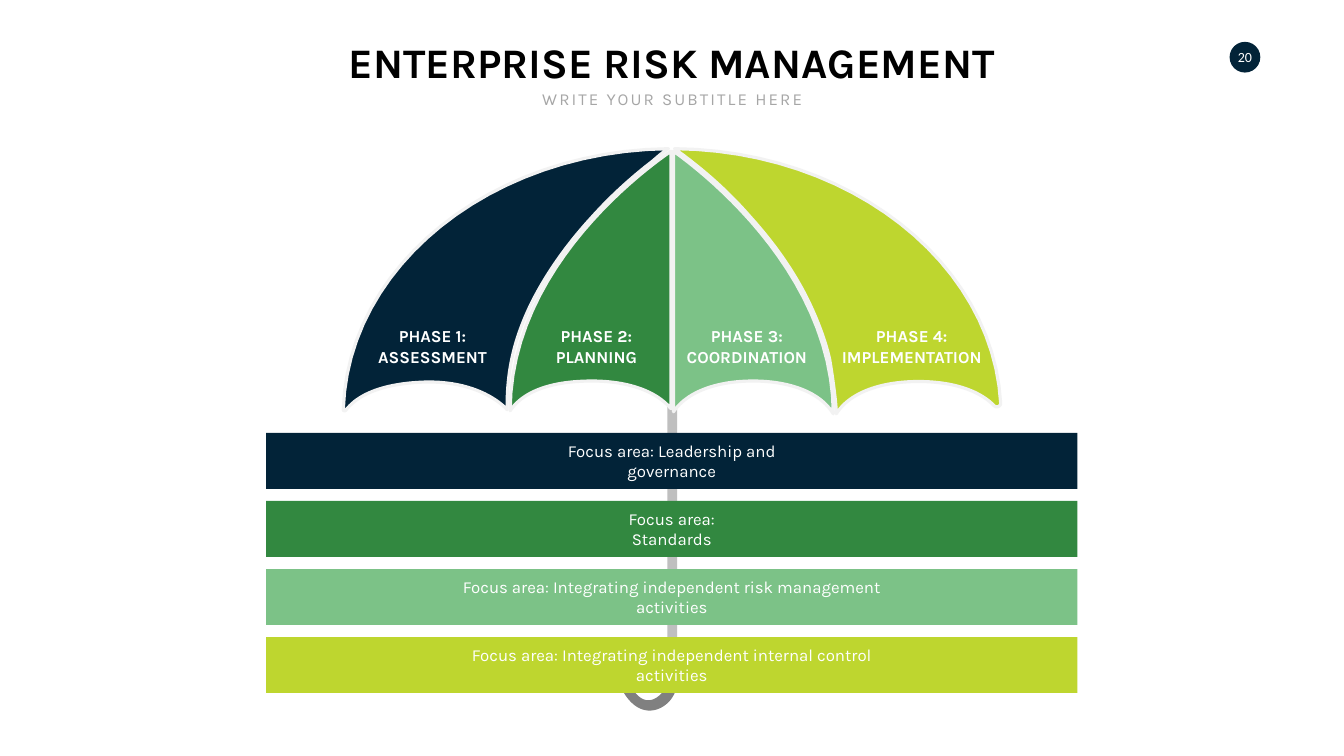
from lxml.etree import SubElement
from pptx import Presentation
from pptx.dml.color import RGBColor
from pptx.enum.shapes import MSO_SHAPE as SHAPE
from pptx.enum.text import MSO_ANCHOR as ANCHOR, MSO_AUTO_SIZE as AUTO_SIZE, PP_ALIGN as ALIGN
from pptx.oxml.ns import qn
from pptx.util import Inches, Pt

NAVY = RGBColor(0x02, 0x23, 0x38)
GREEN = RGBColor(0x32, 0x88, 0x40)
MINT = RGBColor(0x7C, 0xC2, 0x87)
LIME = RGBColor(0xBE, 0xD6, 0x2F)
POLE_GRAY = RGBColor(0xBF, 0xBF, 0xBF)
HOOK_GRAY = RGBColor(0x80, 0x80, 0x80)
SUBTITLE_GRAY = RGBColor(0xA6, 0xA6, 0xA6)
SEAM = RGBColor(0xF2, 0xF2, 0xF2)
BLACK = RGBColor(0, 0, 0)
WHITE = RGBColor(0xFF, 0xFF, 0xFF)

TITLE = "ENTERPRISE RISK MANAGEMENT"
SUBTITLE = "WRITE YOUR SUBTITLE HERE"
PAGE_NUMBER = "20"
PHASES = [
    ("PHASE 1:\nASSESSMENT", 7.38, 2.4),
    ("PHASE 2:\nPLANNING", 10.86, 1.94),
    ("PHASE 3:\nCOORDINATION", 13.38, 2.87),
    ("PHASE 4:\nIMPLEMENTATION", 16.5, 3.17),
]
FOCUS_AREAS = [
    ("Focus area: Leadership and governance", NAVY, 6.01),
    ("Focus area: Standards", GREEN, 3.44),
    ("Focus area: Integrating independent risk management activities", MINT, 9.52),
    ("Focus area: Integrating independent internal control activities", LIME, 9.27),
]

# Two numbers are a straight line, six numbers are a cubic curve.
HOOK = [
    (13.22, 13.17), (13.22, 13.48),
    (13.22, 13.6, 13.17, 13.72, 13.09, 13.79),
    (12.81, 14.04, 12.61, 13.78, 12.52, 13.63),
    (12.5, 13.59, 12.44, 13.58, 12.4, 13.6),
    (12.35, 13.63, 12.34, 13.69, 12.37, 13.74),
    (12.73, 14.33, 13.2, 14.07, 13.34, 13.83),
    (13.4, 13.74, 13.44, 13.62, 13.44, 13.51),
    (13.44, 13.17), (13.42, 13.15), (13.24, 13.15),
]
PANELS = [
    (GREEN, [
        (10.12, 8.15),
        (10.4, 7.73, 11.01, 7.56, 11.74, 7.56),
        (12.42, 7.56, 13, 7.74, 13.31, 8.11),
        (13.31, 3),
        (12.92, 3.27, 10.12, 5.24, 10.12, 8.15),
    ]),
    (MINT, [
        (13.36, 3), (13.36, 8.17),
        (13.64, 7.76, 14.24, 7.56, 14.94, 7.56),
        (15.66, 7.56, 16.27, 7.78, 16.53, 8.21),
        (16.52, 5.3, 13.74, 3.27, 13.36, 3),
    ]),
    (NAVY, [
        (10.54, 6.02),
        (10.85, 5.4, 11.27, 4.82, 11.74, 4.31),
        (12.09, 3.92, 12.48, 3.56, 12.89, 3.24),
        (13.01, 3.15, 13.11, 3.04, 13.26, 2.95),
        (9.74, 2.99, 6.89, 5.28, 6.81, 8.13),
        (6.81, 8.15, 6.84, 8.16, 6.86, 8.14),
        (7.15, 7.76, 7.75, 7.6, 8.45, 7.58),
        (9.59, 7.56, 10.06, 8.13, 10.06, 8.13),
        (10.05, 7.35, 10.2, 6.72, 10.54, 6.02),
    ]),
    (LIME, [
        (13.38, 2.95),
        (13.53, 3.06, 13.64, 3.14, 13.75, 3.23),
        (14.16, 3.55, 14.54, 3.91, 14.88, 4.3),
        (15.35, 4.82, 15.76, 5.39, 16.06, 6.02),
        (16.22, 6.36, 16.36, 6.72, 16.45, 7.09),
        (16.47, 7.17, 16.59, 7.95, 16.59, 8.21),
        (16.86, 7.78, 17.49, 7.57, 18.22, 7.57),
        (18.86, 7.57, 19.41, 7.73, 19.72, 8.05),
        (19.77, 8.1, 19.85, 8.06, 19.85, 8),
        (19.69, 5.21, 16.86, 2.98, 13.38, 2.95),
    ]),
]
CENTER = 13.325
CURVE_STEPS = 24
BAR_TOP, BAR_HEIGHT, BAR_PITCH, BAR_WIDTH = 8.59, 1.11, 1.35, 16.09
LABEL_HEIGHT = 0.5


def flatten(path):
    points = [path[0]]
    for segment in path[1:]:
        if len(segment) == 2:
            points.append(segment)
            continue
        start, controls = points[-1], (segment[:2], segment[2:4], segment[4:])
        for step in range(1, CURVE_STEPS + 1):
            t = step / CURVE_STEPS
            weights = ((1 - t) ** 3, 3 * t * (1 - t) ** 2, 3 * t * t * (1 - t), t ** 3)
            points.append(tuple(
                sum(weight * point[axis] for weight, point in zip(weights, (start, *controls)))
                for axis in (0, 1)))
    return points


def paint(shape, color):
    shape.shadow.inherit = False
    shape.fill.solid()
    shape.fill.fore_color.rgb = color
    shape.line.fill.background()
    return shape


def add_box(shapes, kind, left, top, width, height, color):
    box = [Inches(value) for value in (left, top, width, height)]
    return paint(shapes.add_shape(kind, *box), color)


def add_outline(shapes, path, color):
    points = [(Inches(x), Inches(y)) for x, y in flatten(path)]
    builder = shapes.build_freeform(*points[0])
    builder.add_line_segments(points[1:], close=True)
    return paint(builder.convert_to_shape(), color)


def write(shape, text, size, color, bold=False, anchor=ANCHOR.TOP, wrap=False,
          font="Karla", spacing=None):
    frame = shape.text_frame
    frame.text = text
    frame.word_wrap = wrap
    frame.auto_size = AUTO_SIZE.NONE
    frame.vertical_anchor = anchor
    for paragraph in frame.paragraphs:
        paragraph.alignment = ALIGN.CENTER
        for run in paragraph.runs:
            run.font.name, run.font.size, run.font.bold = font, Pt(size), bold
            run.font.color.rgb = color
            if spacing:
                run.font._element.set("spc", str(spacing * 100))


def add_text(shapes, left, top, width, height, text, size, color, **style):
    box = shapes.add_textbox(Inches(left), Inches(top), Inches(width), Inches(height))
    write(box, text, size, color, **style)


def main():
    presentation = Presentation()
    presentation.slide_width, presentation.slide_height = Inches(26.66), Inches(15)
    slide = presentation.slides.add_slide(presentation.slide_layouts[5])
    shapes = slide.shapes

    title = shapes.title
    title.left, title.top = Inches(6.6), Inches(0.67)
    title.width, title.height = Inches(13.45), Inches(1.11)
    write(title, TITLE, 60, BLACK, bold=True)
    add_text(shapes, 10.62, 1.72, 5.43, 0.5, SUBTITLE, 24, SUBTITLE_GRAY, spacing=3)

    badge = add_box(shapes, SHAPE.OVAL, 24.39, 0.83, 0.61, 0.61, NAVY)
    write(badge, PAGE_NUMBER, 20, WHITE, anchor=ANCHOR.MIDDLE, font="Calibri")
    frame = badge.text_frame
    frame.margin_left = frame.margin_right = frame.margin_top = frame.margin_bottom = 0

    add_box(shapes, SHAPE.RECTANGLE, 13.24, 7.77, 0.19, 5.73, POLE_GRAY)
    add_outline(shapes, HOOK, HOOK_GRAY)
    for color, path in PANELS:
        panel = add_outline(shapes, path, color)
        panel.line.color.rgb = SEAM
        panel.line.width = Pt(4.5)
        SubElement(panel.line._get_or_add_ln(), qn("a:round"))

    for text, left, width in PHASES:
        add_text(shapes, left, 6.41, width, 0.91, text, 24, WHITE, bold=True, anchor=ANCHOR.BOTTOM)

    for index, (text, color, width) in enumerate(FOCUS_AREAS):
        top = BAR_TOP + index * BAR_PITCH
        add_box(shapes, SHAPE.RECTANGLE, CENTER - BAR_WIDTH / 2, top, BAR_WIDTH, BAR_HEIGHT, color)
        add_text(shapes, CENTER - width / 2, top + (BAR_HEIGHT - LABEL_HEIGHT) / 2, width,
                 LABEL_HEIGHT, text, 24, WHITE, anchor=ANCHOR.MIDDLE, wrap=True)

    presentation.save("out.pptx")


if __name__ == "__main__":
    main()
